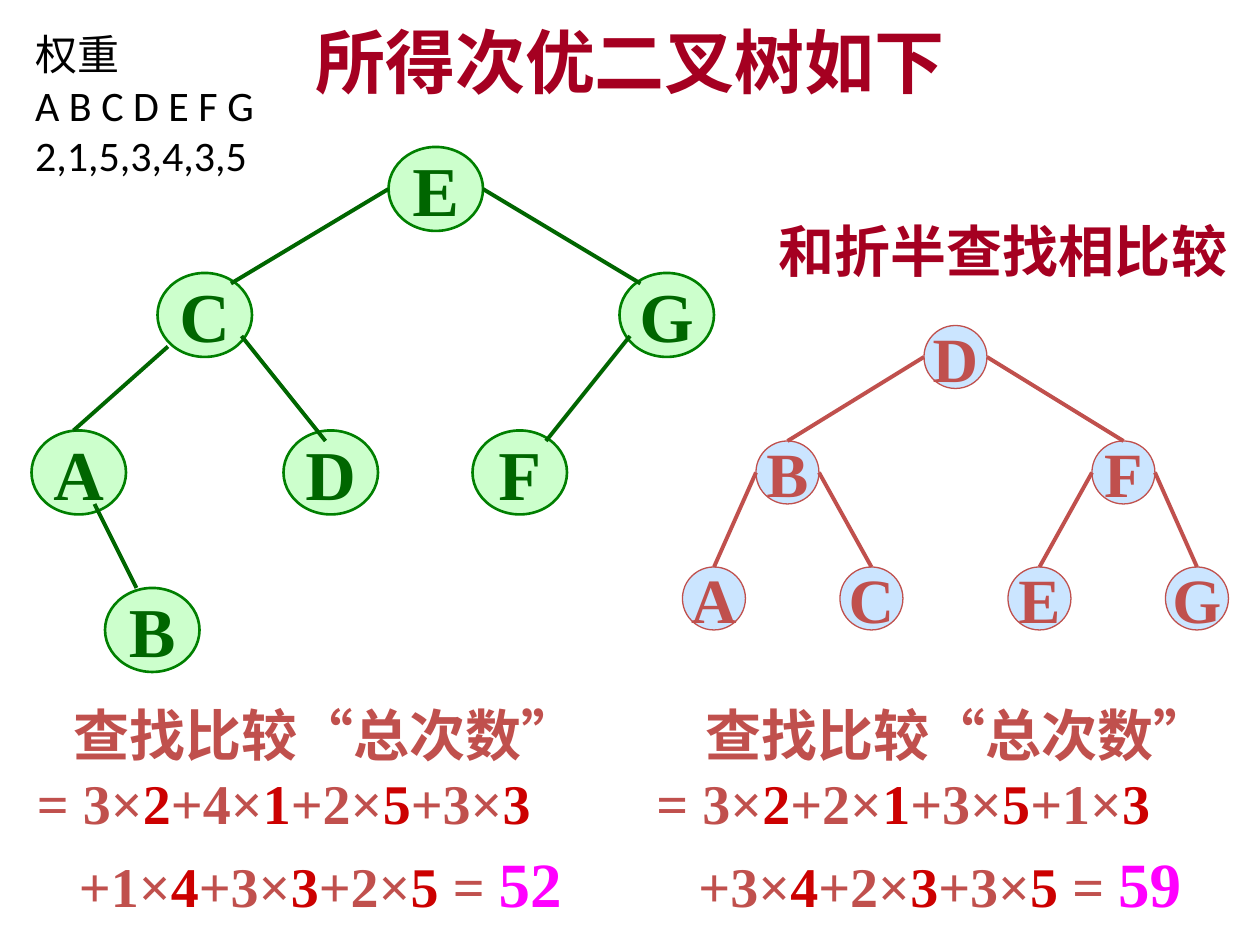
"""Build a slide comparing a near-optimal search tree with binary search."""
from lxml import etree
from pptx import Presentation
from pptx.dml.color import RGBColor
from pptx.enum import shapes, text
from pptx.oxml import ns
from pptx.util import Pt

GREEN = RGBColor(0x00, 0x66, 0x00)
RIM = RGBColor(0x00, 0x80, 0x00)
MINT = RGBColor(0xCC, 0xFF, 0xCC)
BRICK = RGBColor(0xC0, 0x50, 0x4D)
SKY = RGBColor(0x99, 0xCC, 0xFF)
RED = RGBColor(0xCC, 0x00, 0x00)
MAGENTA = RGBColor(0xFF, 0x00, 0xFF)
CRIMSON = RGBColor(0xA5, 0x00, 0x21)
BLACK = RGBColor(0x00, 0x00, 0x00)
SERIF, CJK = "Times New Roman", "Noto Sans CJK SC"


def add_run(p, words, size, color, name=SERIF, bold=True):
    r = p.add_run()
    r.text = words
    r.font.size = Pt(size)
    r.font.bold = bold
    r.font.name = name
    r.font.color.rgb = color
    etree.SubElement(r._r.get_or_add_rPr(), ns.qn("a:ea"), typeface=CJK)


def add_box(x, y, w, h, wrap=True):
    tf = s.shapes.add_textbox(Pt(x), Pt(y), Pt(w), Pt(h)).text_frame
    tf.word_wrap = wrap
    return tf


prs = Presentation()
prs.slide_width, prs.slide_height = Pt(720), Pt(540)
s = prs.slides.add_slide(prs.slide_layouts[6])

optimal = {"E": (222, 84), "C": (90, 156), "G": (354, 156), "A": (18, 246),
           "B": (60, 336), "D": (162, 246), "F": (270, 246)}
optimal_edges = [(222, 108, 132, 162), (96, 198, 42, 246), (138, 192, 186, 252),
                 (54, 288, 78, 336), (276, 108, 366, 162), (360, 192, 312, 252)]

binary = {"D": (528, 186), "B": (432, 252), "A": (390, 324), "C": (480, 324),
          "F": (624, 252), "E": (576, 324), "G": (666, 324)}
binary_edges = []
for parent, left, right in ("DBF", "BAC", "FEG"):
    x, y = binary[parent]
    for start, child in ((x, left), (x + 36, right)):
        cx, cy = binary[child]
        binary_edges.append((start, y + 18, cx + 18, cy))

trees = [
    (optimal, optimal_edges, (54, 48), MINT, 100, RIM, 1.5, GREEN, 40),
    (binary, binary_edges, (36, 36), SKY, 50, BRICK, 0.75, BRICK, 36),
]
for nodes, edges, (w, h), fill, alpha, rim, rim_width, ink, size in trees:
    tree = s.shapes.add_group_shape().shapes
    for label, (x, y) in nodes.items():
        sp = tree.add_shape(shapes.MSO_SHAPE.OVAL, Pt(x), Pt(y), Pt(w), Pt(h))
        sp.shadow.inherit = False
        sp.fill.solid()
        sp.fill.fore_color.rgb = fill
        if alpha < 100:
            color = sp._element.spPr.find(ns.qn("a:solidFill"))[0]
            etree.SubElement(color, ns.qn("a:alpha"), val=str(alpha * 1000))
        sp.line.color.rgb = rim
        sp.line.width = Pt(rim_width)
        tf = sp.text_frame
        tf.word_wrap = False
        tf.vertical_anchor = text.MSO_ANCHOR.MIDDLE
        p = tf.paragraphs[0]
        p.alignment = text.PP_ALIGN.CENTER
        add_run(p, label, size, ink)
    for x1, y1, x2, y2 in edges:
        edge = tree.add_connector(shapes.MSO_CONNECTOR.STRAIGHT,
                                  Pt(x1), Pt(y1), Pt(x2), Pt(y2))
        edge.line.color.rgb = ink
        edge.line.width = Pt(2.25)
        etree.SubElement(edge._element.spPr, ns.qn("a:effectLst"))

totals = [
    (6, 29, "= 3×|2|+4×|1|+2×|5|+3×|3", "+1×|4|+3×|3|+2×|5| = |52"),
    (360, 36, "= 3×|2|+2×|1|+3×|5|+1×|3", "+3×|4|+2×|3|+3×|5| = |59"),
]
for x, indent, first, second in totals:
    tf = add_box(x, 397, 345, 132)
    p = tf.paragraphs[0]
    p._p.get_or_add_pPr().set("marL", str(Pt(indent)))
    add_run(p, "查找比较“总次数”", 32, BRICK)
    for formula, margin, before in ((first, 8, 0), (second, 32, 5)):
        p = tf.add_paragraph()
        p._p.get_or_add_pPr().set("marL", str(Pt(margin)))
        p.space_before = Pt(before)
        for i, term in enumerate(formula.split("|")):
            if term in ("52", "59"):
                add_run(p, term, 36, MAGENTA)
            else:
                add_run(p, term, 32, RED if i % 2 else BRICK)

tf = add_box(438, 120, 272, 45, wrap=False)
add_run(tf.paragraphs[0], "和折半查找相比较", 32, CRIMSON)

tf = add_box(36, -2, 648, 73)
tf.vertical_anchor = text.MSO_ANCHOR.MIDDLE
tf.paragraphs[0].alignment = text.PP_ALIGN.CENTER
add_run(tf.paragraphs[0], "所得次优二叉树如下", 40, CRIMSON, CJK)

tf = add_box(13, 13, 156, 95)
for i, row in enumerate(("权重", "A B C D E F G", "2,1,5,3,4,3,5")):
    p = tf.add_paragraph() if i else tf.paragraphs[0]
    add_run(p, row, 24, BLACK, "Calibri", False)

prs.save("out.pptx")
